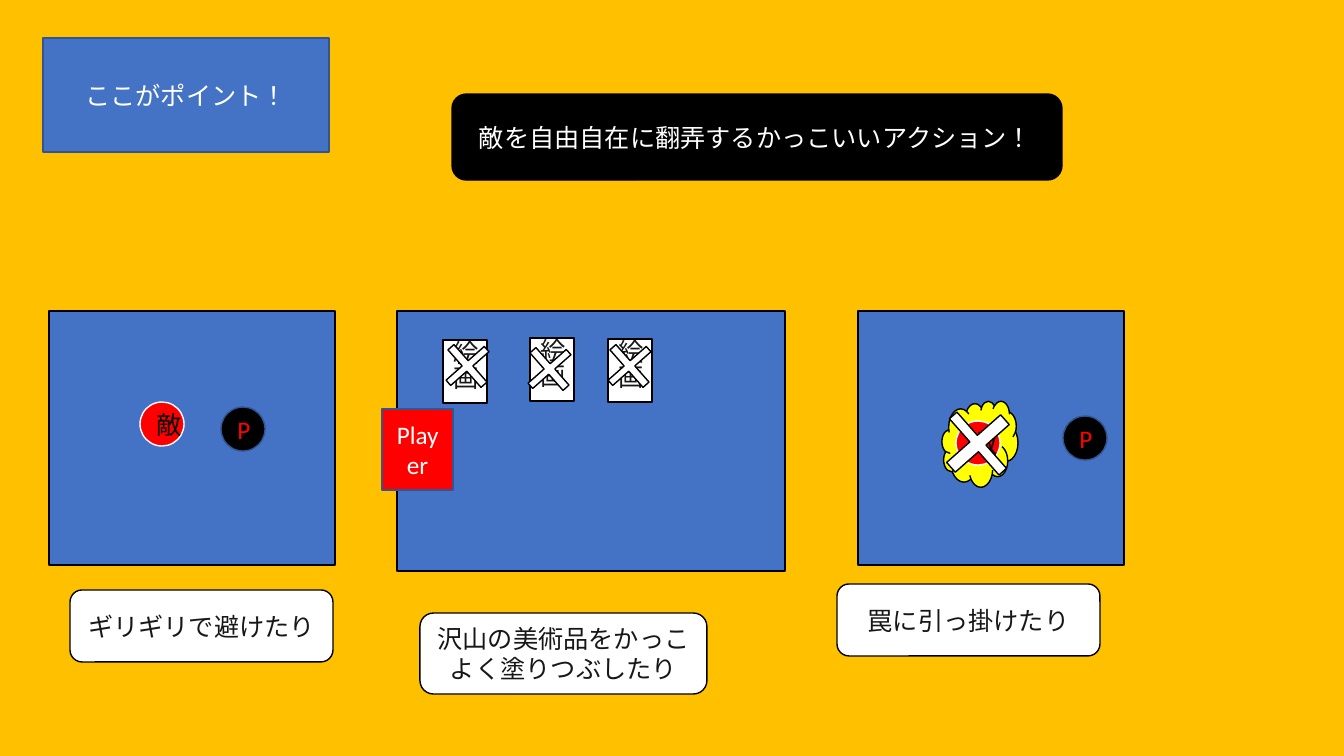
from pptx import Presentation
from pptx.dml.color import RGBColor
from pptx.enum.lang import MSO_LANGUAGE_ID as Language
from pptx.enum.shapes import MSO_SHAPE as Shape
from pptx.enum.text import MSO_ANCHOR as Anchor, PP_ALIGN as Align
from pptx.util import Emu, Pt

EMU_PER_PX = 914400 / 100.8
BLACK, WHITE, RED, YELLOW = "000000", "FFFFFF", "FF0000", "FFFF00"
BLUE, NAVY, INK, AMBER = "4472C4", "325491", "181717", "FFC000"
BALL = 44


def px(length):
    return Emu(round(length * EMU_PER_PX))


def paint(color_format, color):
    color_format.rgb = RGBColor.from_string(color)


def write(shape, text, color, align):
    para = shape.text_frame.paragraphs[0]
    para.text = text
    para.alignment = align
    for span in para.runs:
        span.font.name = "Calibri"
        span.font.size = Pt(18)
        span.font.language_id = Language.JAPANESE
        paint(span.font.color, color)


def add_box(page, kind, bounds, fill, line=BLACK, text="", color=WHITE):
    """Add a filled, outlined preset shape with optional centred text."""
    box = page.shapes.add_shape(kind, *map(px, bounds))
    box.shadow.inherit = False
    box.fill.solid()
    paint(box.fill.fore_color, fill)
    paint(box.line.color, line)
    box.line.width = Pt(1)
    if text:
        box.text_frame.vertical_anchor = Anchor.MIDDLE
        write(box, text, color, Align.CENTER)
    return box


def add_panel(page, bounds):
    add_box(page, Shape.RECTANGLE, bounds, BLUE)


def add_caption(page, bounds, text):
    add_box(page, Shape.ROUNDED_RECTANGLE, bounds, WHITE, text=text, color=INK)


def add_player_ball(page, left, top):
    add_box(page, Shape.OVAL, (left, top, BALL, BALL), BLACK, NAVY, "P", RED)


def add_enemy(page, left, top):
    add_box(page, Shape.OVAL, (left, top, BALL, BALL), RED, WHITE, "敵", BLACK)


def add_painting(page, left, top):
    painting = add_box(page, Shape.RECTANGLE, (left, top, 44, 63), WHITE,
                       text="絵画", color=INK)
    frame = painting.text_frame
    frame.margin_left = frame.margin_right = 0
    frame.margin_top = frame.margin_bottom = 0
    frame._txBody.bodyPr.set("vert", "eaVert")


def add_cross(page, bounds):
    cross = add_box(page, Shape.CROSS, bounds, WHITE)
    cross.adjustments[0] = 0.43
    cross.rotation = 318.6


def add_headline(page):
    add_box(page, Shape.RECTANGLE, (43, 38, 286, 114), BLUE, NAVY, "ここがポイント！")
    add_box(page, Shape.ROUNDED_RECTANGLE, (452, 94, 610, 86), BLACK)
    label = page.shapes.add_textbox(*map(px, (469, 117, 580, 40)))
    label.text_frame.word_wrap = True
    write(label, "敵を自由自在に翻弄するかっこいいアクション！", WHITE, Align.LEFT)


def add_dodge_scene(page):
    add_panel(page, (49, 311, 286, 254))
    add_player_ball(page, 221, 407)
    add_enemy(page, 140, 402)
    add_caption(page, (70, 590, 263, 72), "ギリギリで避けたり")


def add_trap_scene(page):
    add_panel(page, (858, 311, 266, 254))
    add_player_ball(page, 1063, 416)
    add_box(page, Shape.CLOUD, (942, 401, 76, 86), YELLOW)
    add_enemy(page, 956, 421)
    add_cross(page, (942, 406, 72, 75))
    add_caption(page, (837, 584, 263, 72), "罠に引っ掛けたり")


def add_gallery_scene(page):
    add_panel(page, (397, 311, 388, 260))
    add_caption(page, (420, 613, 287, 81), "沢山の美術品をかっこよく塗りつぶしたり")
    for left, top in ((608, 339), (530, 338), (443, 340)):
        add_painting(page, left, top)
    for left, top in ((442, 341), (524, 344), (604, 341)):
        add_cross(page, (left, top, 51, 50))
    add_box(page, Shape.RECTANGLE, (382, 409, 71, 81), RED, NAVY, "Player")


def main():
    deck = Presentation()
    deck.slide_width, deck.slide_height = px(1344), px(756)
    page = deck.slides.add_slide(deck.slide_layouts[6])
    page.background.fill.solid()
    paint(page.background.fill.fore_color, AMBER)
    add_headline(page)
    add_dodge_scene(page)
    add_trap_scene(page)
    add_gallery_scene(page)
    deck.save("out.pptx")


if __name__ == "__main__":
    main()
